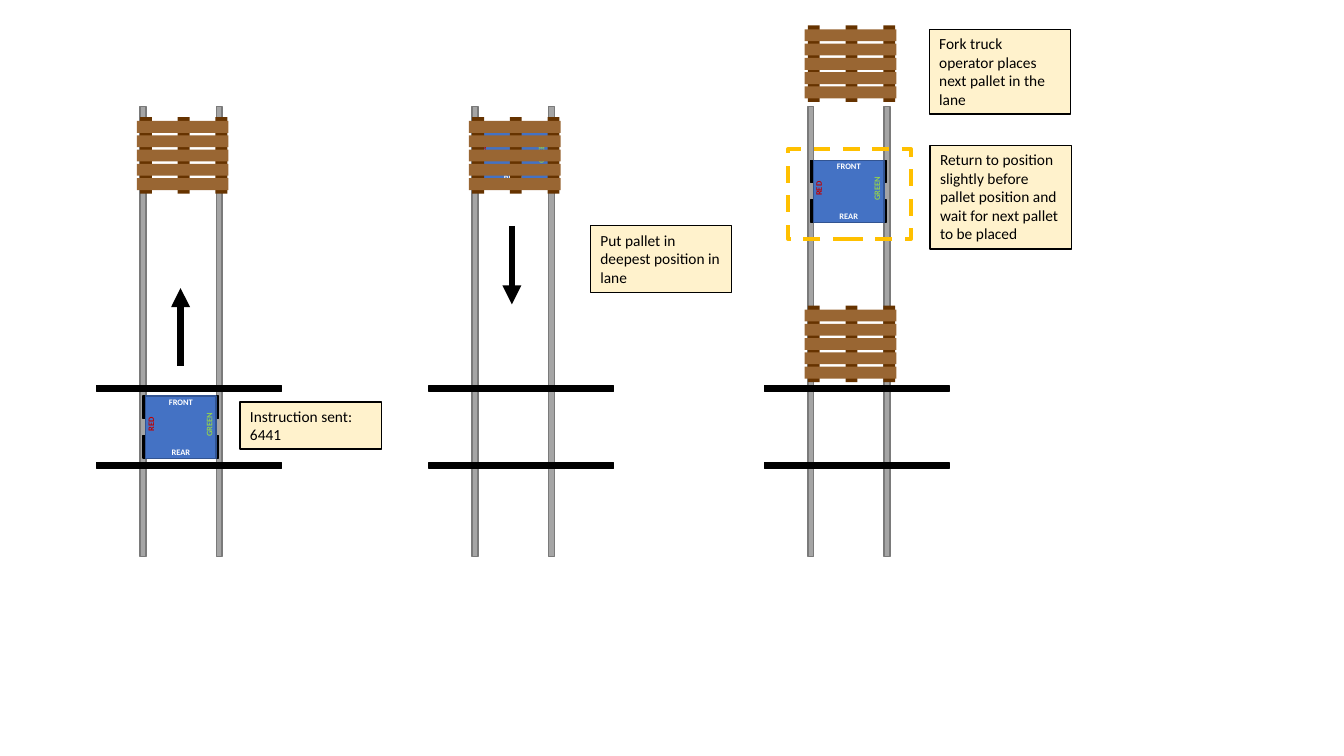
import pptx
import pptx.util
import pptx.dml.color
import pptx.enum.dml
import pptx.enum.shapes
import pptx.enum.text
import pptx.oxml.ns
import lxml.etree

Cm, Pt = pptx.util.Cm, pptx.util.Pt
RGB = pptx.dml.color.RGBColor.from_string
COLORS = {
    "rail": "A5A5A5", "rail edge": "7A7A7A", "black": "000000",
    "shuttle": "4472C4", "shuttle edge": "325491", "white": "FFFFFF",
    "green": "92D050", "red": "C00000", "bearer": "663300",
    "slat": "996633", "note": "FFF2CC", "zone": "FFC000",
}

deck = pptx.Presentation()
deck.slide_width, deck.slide_height = Cm(33.87), Cm(19.05)
slide = deck.slides.add_slide(deck.slide_layouts[6])


def add_block(left, top, width, height, fill=None, edge=None, weight=1):
    block = slide.shapes.add_shape(
        pptx.enum.shapes.MSO_SHAPE.RECTANGLE, Cm(left), Cm(top), Cm(width), Cm(height))
    block.shadow.inherit = False
    if fill:
        block.fill.solid()
        block.fill.fore_color.rgb = RGB(COLORS[fill])
    else:
        block.fill.background()
    if edge:
        block.line.color.rgb = RGB(COLORS[edge])
        block.line.width = Pt(weight)
    else:
        block.line.fill.background()
    return block


def add_words(paragraph, words, size, color, bold=False):
    run = paragraph.add_run()
    run.text = words
    run.font.name = "Calibri"
    run.font.size = Pt(size)
    run.font.bold = bold
    run.font.color.rgb = RGB(COLORS[color])


# Lanes: left of the rails, shuttle position, wheel sides, pallet tops
LEFT_WHEELS, RIGHT_WHEELS = -0.07, 1.71
lanes = [
    (3.53, 9.98, [RIGHT_WHEELS, LEFT_WHEELS], [3.05]),
    (11.9, 3.1, [RIGHT_WHEELS], [3.05]),
    (20.36, 4.04, [RIGHT_WHEELS, LEFT_WHEELS], [7.8, 0.74]),
]
# Shuttle markings: text, offset from the shuttle, rotation, colour
markings = [
    ("FRONT", 0.33, -0.1, 0, "white"),
    ("REAR", 0.33, 1.15, 0, "white"),
    ("GREEN", 1.04, 0.46, 270, "green"),
    ("RED", -0.43, 0.46, 270, "red"),
]

for lane_left, shuttle_top, wheel_sides, pallet_tops in lanes:
    # Rails and cross beams
    for rail in range(2):
        add_block(lane_left + rail * 1.92, 2.69, 0.15, 11.33, "rail", "rail edge")
    for beam in range(2):
        add_block(lane_left - 1.09, 9.72 + beam * 1.94, 4.65, 0.15, "black", "black")

    # Shuttle
    shuttle_left = lane_left + 0.14
    for side in wheel_sides:
        for wheel in range(2):
            add_block(shuttle_left + side, shuttle_top + wheel, 0.13, 0.56, "black", "black")
    add_block(shuttle_left, shuttle_top, 1.78, 1.57, "shuttle", "shuttle edge")
    for words, right, down, angle, color in markings:
        marking = slide.shapes.add_textbox(
            Cm(shuttle_left + right), Cm(shuttle_top + down), Cm(1.12), Cm(0.51))
        marking.rotation = angle
        marking.text_frame.word_wrap = False
        paragraph = marking.text_frame.paragraphs[0]
        paragraph.alignment = pptx.enum.text.PP_ALIGN.CENTER
        add_words(paragraph, words, 6, color, bold=True)

    # Pallets
    pallet_left = lane_left - 0.08
    for pallet_top in pallet_tops:
        for bearer in range(3):
            add_block(pallet_left + 0.08 + bearer * 0.95, pallet_top - 0.1, 0.3, 1.93, "bearer")
        for slat in range(5):
            add_block(pallet_left, pallet_top + slat * 0.36, 2.31, 0.3, "slat")

# Notes
notes = [
    (6.05, 10.13, 1.19, ["Instruction sent:", "6441"]),
    (14.88, 5.69, 1.68, ["Put pallet in deepest position in lane"]),
    (23.44, 3.66, 2.62, ["Return to position slightly before pallet position "
                         "and wait for next pallet to be placed"]),
    (23.42, 0.74, 2.13, ["Fork truck operator places next pallet in the lane"]),
]
for left, top, height, lines in notes:
    frame = add_block(left, top, 3.56, height, "note", "black").text_frame
    frame.word_wrap = True
    frame.vertical_anchor = pptx.enum.text.MSO_ANCHOR.TOP
    for number, words in enumerate(lines):
        paragraph = frame.add_paragraph() if number else frame.paragraphs[0]
        paragraph.alignment = pptx.enum.text.PP_ALIGN.LEFT
        add_words(paragraph, words, 11, "black")

# Travel arrows
for x, start, end in [(4.55, 9.22, 7.26), (12.9, 5.69, 7.67)]:
    travel = slide.shapes.add_connector(
        pptx.enum.shapes.MSO_CONNECTOR.STRAIGHT, Cm(x), Cm(start), Cm(x), Cm(end))
    travel.line.color.rgb = RGB(COLORS["black"])
    travel.line.width = Pt(4.5)
    lxml.etree.SubElement(
        travel.line._get_or_add_ln(), pptx.oxml.ns.qn("a:tailEnd"), type="triangle")
    lxml.etree.SubElement(travel._element.spPr, pptx.oxml.ns.qn("a:effectLst"))

# Waiting zone
zone = add_block(19.86, 3.76, 3.1, 2.26, edge="zone", weight=3)
zone.line.dash_style = pptx.enum.dml.MSO_LINE.DASH

deck.save("out.pptx")
